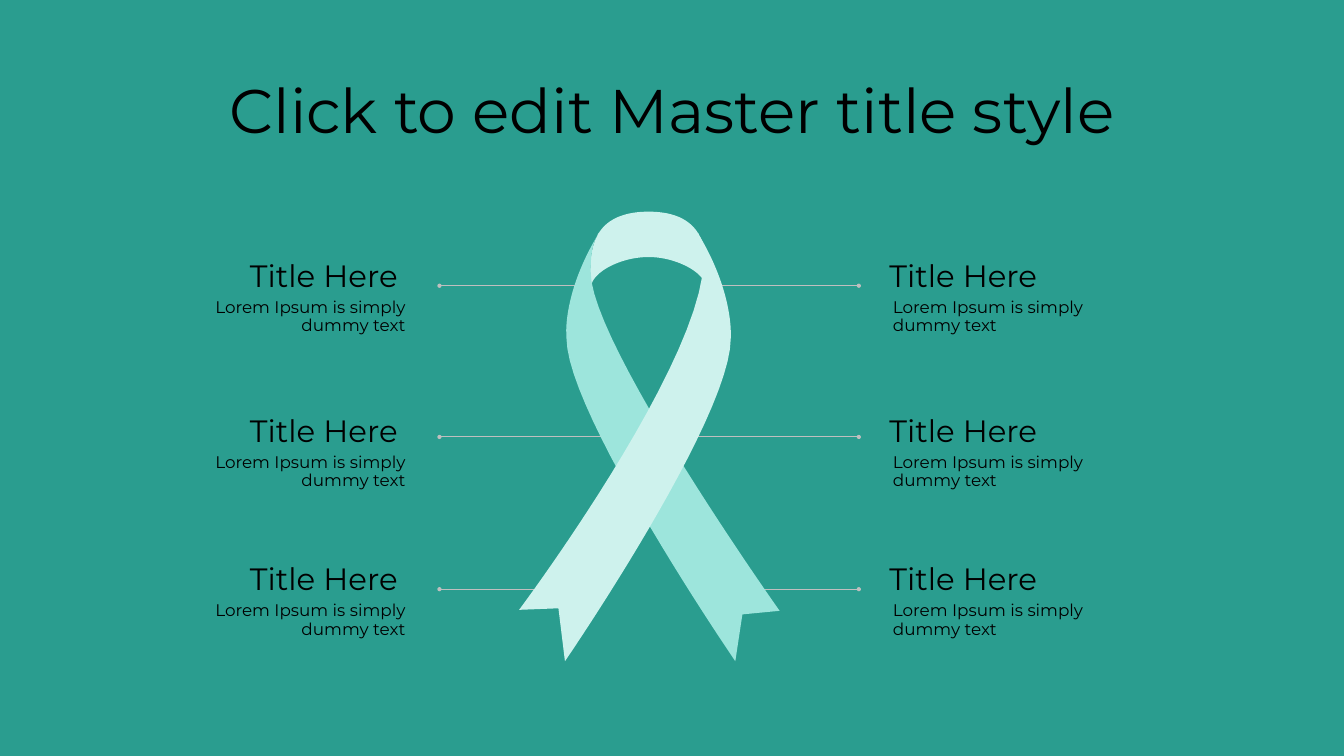
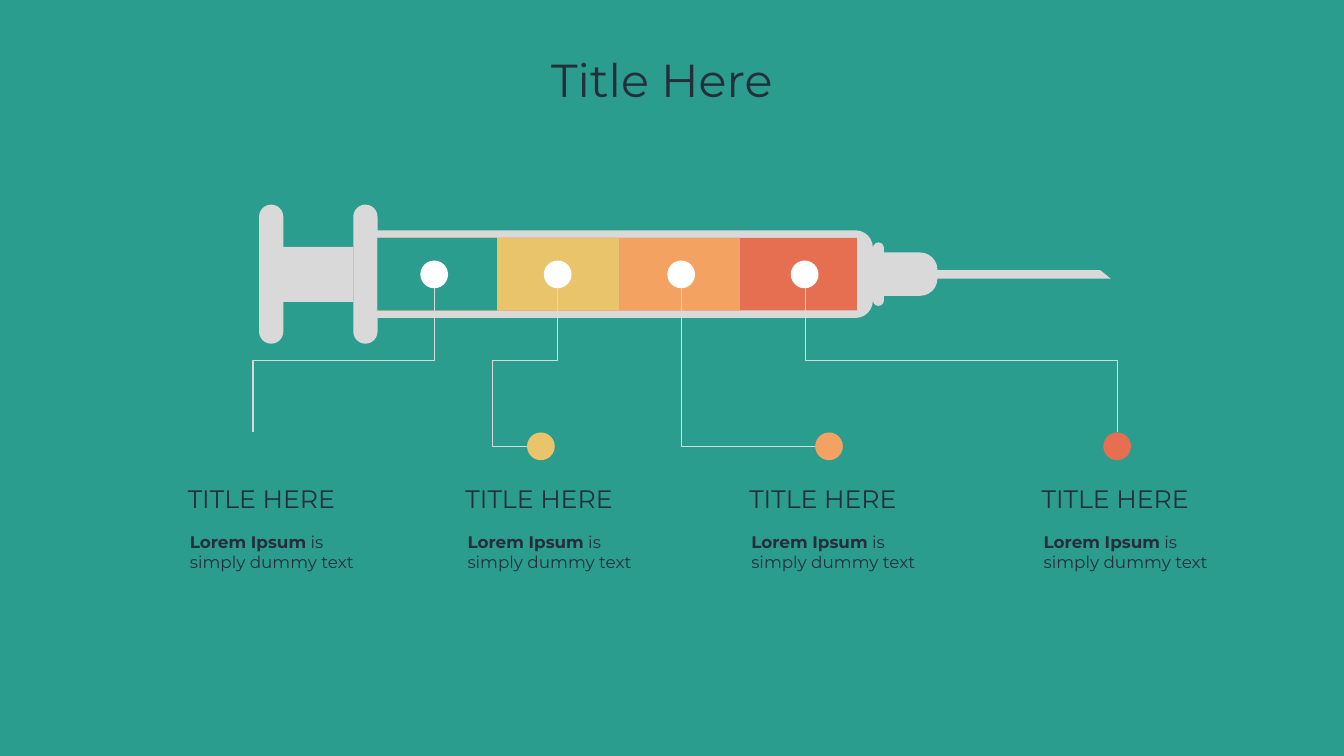
"""Builds two medical infographic slides: an awareness ribbon and a syringe."""
from lxml import etree
from pptx import Presentation
from pptx.dml.color import RGBColor
from pptx.enum.shapes import MSO_CONNECTOR as CONN, MSO_SHAPE as SHAPE
from pptx.enum.text import MSO_ANCHOR as ANCHOR, MSO_AUTO_SIZE as AUTO, PP_ALIGN as ALIGN
from pptx.oxml.ns import qn
from pptx.util import Pt

rgb = RGBColor.from_string
TEAL, YELLOW, ORANGE, RED = "2A9D8F", "E9C46A", "F4A261", "E76F51"
MINT, PALE, GREY, WIRE = "9DE5DC", "CEF2ED", "D9D9D9", "BFBFBF"
BLACK, INK, WHITE = "000000", "272E3A", "FFFFFF"
SIDES = ["margin_left", "margin_top", "margin_right", "margin_bottom"]
FRAME = {"word_wrap": True, "auto_size": AUTO.NONE, "vertical_anchor": ANCHOR.TOP}
WIDE = FRAME | dict.fromkeys(SIDES, Pt(19.2))
TIGHT = FRAME | dict(zip(SIDES, [Pt(7.2), Pt(3.6)] * 2))
MIDDLE = TIGHT | {"vertical_anchor": ANCHOR.MIDDLE}
GROW = TIGHT | {"auto_size": AUTO.SHAPE_TO_FIT_TEXT}


def paint(sp, color):
    """Give a shape a flat fill with no outline or shadow."""
    sp.shadow.inherit = False
    sp.fill.solid()
    sp.fill.fore_color.rgb = rgb(color)
    sp.line.fill.background()


def write(sp, runs, size, color, frame=WIDE, align=ALIGN.LEFT, spacing=0.9):
    """Fill a text shape with one paragraph of (text, bold) runs."""
    tf = sp.text_frame
    for name, value in frame.items():
        setattr(tf, name, value)
    p = tf.paragraphs[0]
    for name, value in {"alignment": align, "line_spacing": spacing}.items():
        setattr(p, name, value)
    for text, bold in runs:
        r = p.add_run()
        r.text = text
        for name, value in {"name": "Montserrat", "size": Pt(size), "bold": bold}.items():
            setattr(r.font, name, value)
        r.font.color.rgb = rgb(color)


prs = Presentation()
prs.slide_width, prs.slide_height = Pt(1920), Pt(1080)
bg = prs.slide_master.background.fill
bg.solid()
bg.fore_color.rgb = rgb(TEAL)

titles = [
    ("Click to edit Master title style", 88, BLACK, MIDDLE, (131.8, 57.6, 1656, 208.8)),
    ("Title Here", 66, INK, WIDE, (172.1, 63.4, 1546.6, 120.2)),
]
slides = []
for text, size, color, frame, box in titles:
    s = prs.slides.add_slide(prs.slide_layouts[5])
    sp = s.shapes.title
    for name, value in zip(["left", "top", "width", "height"], box):
        setattr(sp, name, Pt(value))
    write(sp, [(text, False)], size, color, frame, ALIGN.CENTER)
    slides.append(s)
ribbon, syringe = slides

connectors = []
wires = [(408.2, 828, 1003.7), (624.2, 941.8, 933.8), (841.7, 821.5, 1047.6)]
for y, left_end, right_end in wires:
    for x, end in [(627.8, left_end), (1226.9, right_end)]:
        cxn = ribbon.shapes.add_connector(CONN.STRAIGHT, Pt(x), Pt(y), Pt(end), Pt(y))
        connectors.append((cxn, WIRE, "oval"))

outlines = [
    (PALE, (926.6, 302.4), [
        (891.4, 302.4, 868.3, 313.2, 856.1, 331.9),
        (854.6, 333.4, 853.9, 334.8, 853.2, 337),
        (844.6, 352.8, 841, 380.2, 844.6, 407.5),
        (848.9, 387.4, 887.8, 367.2, 926.6, 367.2),
        (964.1, 367.2, 1003.7, 387.4, 1008, 407.5),
        (1009.4, 386.6, 1009.4, 354.2, 999.4, 337),
        (998.6, 334.8, 997.9, 333.4, 996.5, 331.9),
        (984.2, 313.2, 961.9, 302.4, 926.6, 302.4)]),
    (MINT, (853.2, 337), [
        (805, 417.6, 808.6, 477.4, 809.3, 478.8),
        (809.3, 483.1),
        (809.3, 591.8, 1050.5, 944.6, 1050.5, 944.6),
        (1060.6, 877.7),
        (1113.8, 872.6),
        (1113.8, 872.6, 843.8, 491.8, 843.8, 388.8),
        (843.8, 368.6, 845.3, 350.6, 853.2, 337)]),
    (PALE, (999.4, 337), [
        (1051.2, 457.2, 741.6, 871.2, 741.6, 871.2),
        (797.8, 869),
        (807.1, 944.6),
        (807.1, 944.6, 1044, 599, 1044, 483.1),
        (1044, 478.8),
        (1044, 478.8, 1047.6, 418.3, 999.4, 337)]),
]
STEPS = 24
for color, start, segments in outlines:
    points = [start]
    for seg in segments:
        if len(seg) == 2:
            points.append(seg)
            continue
        x0, y0 = points[-1]
        x1, y1, x2, y2, x3, y3 = seg
        for i in range(1, STEPS + 1):
            t = i / STEPS
            u = 1 - t
            a, b, c, d = u ** 3, 3 * u * u * t, 3 * u * t * t, t ** 3
            points.append((a * x0 + b * x1 + c * x2 + d * x3,
                           a * y0 + b * y1 + c * y2 + d * y3))
    points = [(Pt(x), Pt(y)) for x, y in points]
    builder = ribbon.shapes.build_freeform(*points[0])
    builder.add_line_segments(points[1:], close=True)
    paint(builder.convert_to_shape(), color)

sides = [("Title Here ", 231.8, 200.9, ALIGN.RIGHT), ("Title Here", 1251.4, 1256.4, ALIGN.LEFT)]
for heading, title_x, body_x, align in sides:
    for y in [353.5, 575.3, 787]:
        sp = ribbon.shapes.add_textbox(Pt(title_x), Pt(y), Pt(367.2), Pt(67))
        write(sp, [(heading, False)], 44, BLACK, align=align)
        sp = ribbon.shapes.add_textbox(Pt(body_x), Pt(y + 54.5), Pt(397.4), Pt(131.8))
        write(sp, [("Lorem Ipsum is simply dummy text", False)], 24, BLACK, align=align)

needle = [(1289.5, 385.9), (1289.5, 398.2), (1586.9, 398.2), (1571.8, 385.9)]
needle = [(Pt(x), Pt(y)) for x, y in needle]
builder = syringe.shapes.build_freeform(*needle[0])
builder.add_line_segments(needle[1:], close=True)
paint(builder.convert_to_shape(), GREY)

parts = [
    (SHAPE.RECTANGLE, 404.6, 352.8, 100.1, 78.5, None, GREY),
    (SHAPE.ROUND_2_SAME_RECTANGLE, 1255, 360.7, 84.2, 61.9, 0.4, GREY),
    (SHAPE.ROUND_2_SAME_RECTANGLE, 532.8, 329, 714.2, 125.3, 0.2, GREY),
    (SHAPE.ROUNDED_RECTANGLE, 504.7, 292.3, 34.6, 198.7, 0.5, GREY),
    (SHAPE.ROUNDED_RECTANGLE, 370.1, 292.3, 34.6, 198.7, 0.5, GREY),
    (SHAPE.ROUNDED_RECTANGLE, 1247, 346.3, 15.8, 90.7, 0.5, GREY),
]
for w, color in [(684.7, RED), (517.7, ORANGE), (344.9, YELLOW), (170.6, TEAL)]:
    parts.append((SHAPE.RECTANGLE, 539.3, 339.8, w, 103.7, None, color))
fills = [TEAL, YELLOW, ORANGE, RED]
for i, color in enumerate(fills):
    parts.append((SHAPE.OVAL, 341.3 + 411.6 * i, 617.8, 39.6, 39.6, None, color))
for i in range(len(fills)):
    parts.append((SHAPE.OVAL, 600.5 + 176.4 * i, 372.2, 39.6, 39.6, None, WHITE))
for kind, x, y, w, h, radius, color in parts:
    turned = kind == SHAPE.ROUND_2_SAME_RECTANGLE
    if turned:
        x, y, w, h = x + (w - h) / 2, y + (h - w) / 2, h, w
    sp = syringe.shapes.add_shape(kind, Pt(x), Pt(y), Pt(w), Pt(h))
    sp.rotation = 90 if turned else 0
    if radius:
        sp.adjustments[0] = radius
    paint(sp, color)

elbows = [
    (388.1, 385.2, 205.9, 259.2, 270, False, "bentConnector3", [50000]),
    (1270.1, 291.6, 205.9, 445.7, 90, True, "bentConnector3", [50000]),
    (956.2, 429.1, 226.1, 190.8, 270, True, "bentConnector2", []),
    (753.1, 411.8, 43.9, 226.1, 180, True, "bentConnector4", [-113400, 54400]),
]
for x, y, w, h, angle, flip, preset, adjusts in elbows:
    cxn = syringe.shapes.add_connector(CONN.ELBOW, Pt(x), Pt(y), Pt(x + w), Pt(y + h))
    xfrm = cxn._element.spPr.find(qn("a:xfrm"))
    xfrm.set("rot", str(angle * 60000))
    if flip:
        xfrm.set("flipH", "1")
    geom = cxn._element.spPr.find(qn("a:prstGeom"))
    geom.set("prst", preset)
    guides = geom.find(qn("a:avLst"))
    for n, value in enumerate(adjusts, 1):
        etree.SubElement(guides, qn("a:gd"), name=f"adj{n}", fmla=f"val {value}")
    connectors.append((cxn, GREY, None))

for cxn, color, head in connectors:
    cxn.line.width = Pt(1.5)
    cxn.line.color.rgb = rgb(color)
    if head:
        etree.SubElement(cxn.line._get_or_add_ln(), qn("a:headEnd"), type=head)
    etree.SubElement(cxn._element.spPr, qn("a:effectLst"))

for x in [249.1, 645.8, 1051.2, 1468.8]:
    sp = syringe.shapes.add_textbox(Pt(x), Pt(676.8), Pt(264.2), Pt(60.5))
    write(sp, [("TITLE HERE", False)], 36, INK)
    sp = syringe.shapes.add_textbox(Pt(x + 15), Pt(756), Pt(280.8), Pt(65.5))
    write(sp, [("Lorem Ipsum", True), (" is simply dummy text", False)], 24, INK, GROW, spacing=1)

prs.save("out.pptx")
